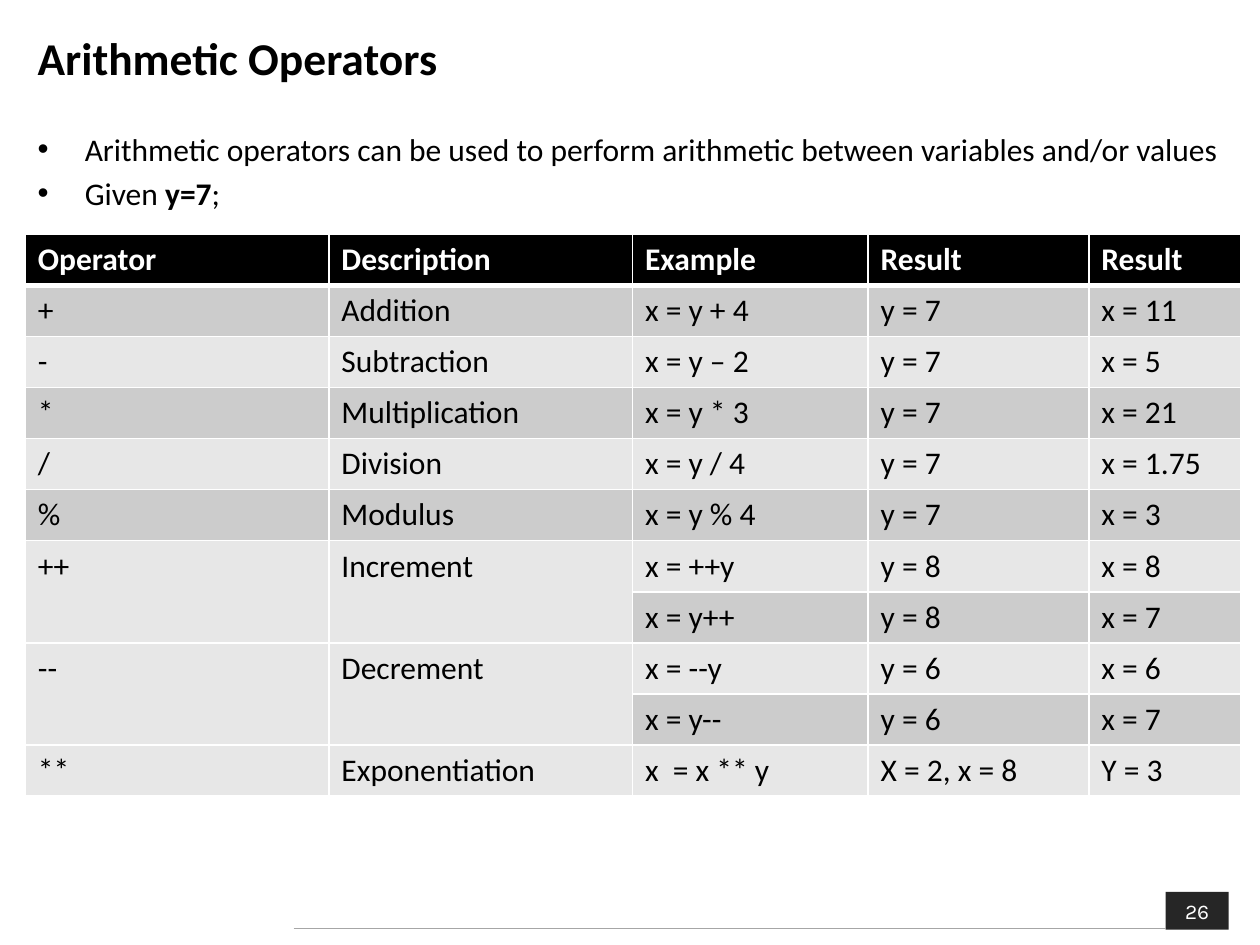
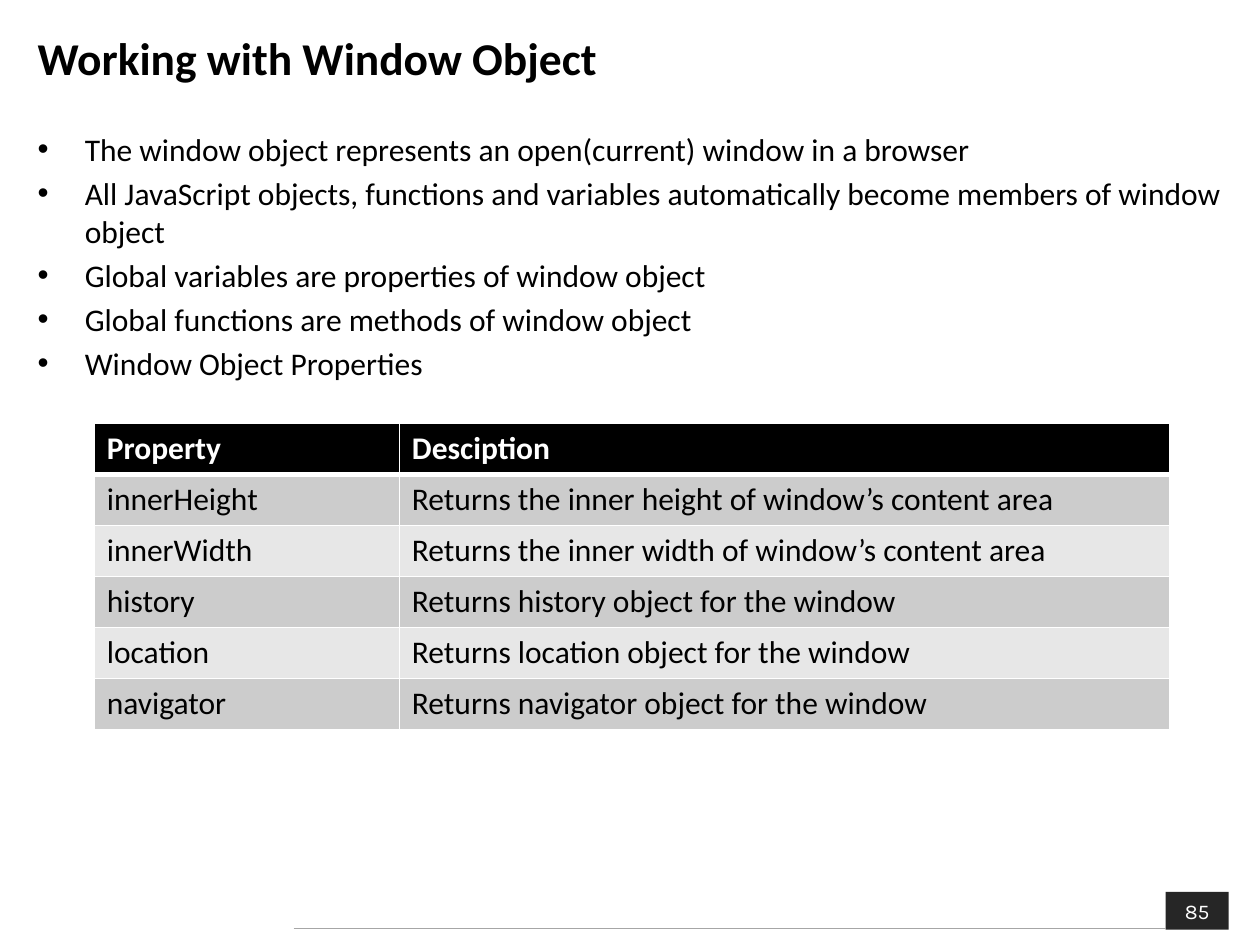
from pptx import Presentation
from pptx.dml.color import RGBColor
from pptx.enum.shapes import MSO_CONNECTOR, MSO_SHAPE
from pptx.enum.text import MSO_ANCHOR, PP_ALIGN
from pptx.oxml.ns import qn
from pptx.util import Cm, Pt
from lxml import etree

MIDDLE = MSO_ANCHOR.MIDDLE
CENTER = PP_ALIGN.CENTER
RECTANGLE = MSO_SHAPE.RECTANGLE
STRAIGHT = MSO_CONNECTOR.STRAIGHT

BLACK, WHITE = "000000", "FFFFFF"
NUMBER_FILL, RULE_GREY = "262626", "A6A6A6"
BANDS = ["E7E7E7", "CCCCCC"]

TITLE = {"name": "Calibri", "size": Pt(26), "bold": True}
BODY = {"name": "Calibri", "size": Pt(18), "bold": False}
STRONG = {**BODY, "bold": True}
NUMBER = {"name": "Karla", "size": Pt(12)}

ROW_HEIGHT = Cm(1.03)
BULLET_INDENT = Cm(0.95)

# Bars in a bullet enclose its bold words; None continues the cell above.
PAGES = [
    {
        "title": "Arithmetic Operators",
        "number": "26",
        "bullets": [
            "Arithmetic operators can be used to perform arithmetic between variables and/or values",
            "Given |y=7|;",
        ],
        "table_at": (Cm(0.51), Cm(4.72)),
        "widths": [6.12, 6.12, 4.75, 4.45, 3.07],
        "rows": [
            ["Operator", "Description", "Example", "Result", "Result"],
            ["+", "Addition", "x = y + 4", "y = 7", "x = 11"],
            ["-", "Subtraction", "x = y – 2", "y = 7", "x = 5"],
            ["*", "Multiplication", "x = y * 3", "y = 7", "x = 21"],
            ["/", "Division", "x = y / 4", "y = 7", "x = 1.75"],
            ["%", "Modulus", "x = y % 4", "y = 7", "x = 3"],
            ["++", "Increment", "x = ++y", "y = 8", "x = 8"],
            [None, None, "x = y++", "y = 8", "x = 7"],
            ["--", "Decrement", "x = --y", "y = 6", "x = 6"],
            [None, None, "x = y--", "y = 6", "x = 7"],
            ["**", "Exponentiation", "x  = x ** y", "X = 2, x = 8", "Y = 3"],
        ],
    },
    {
        "title": "Working with Window Object",
        "number": "85",
        "bullets": [
            "The window object represents an open(current) window in a browser",
            "All JavaScript objects, functions and variables automatically become members of window object",
            "Global variables are properties of window object",
            "Global functions are methods of window object",
            "Window Object Properties",
        ],
        "table_at": (Cm(1.9), Cm(8.53)),
        "widths": [6.15, 15.54],
        "rows": [
            ["Property", "Desciption"],
            ["innerHeight", "Returns the inner height of window’s content area"],
            ["innerWidth", "Returns the inner width of window’s content area"],
            ["history", "Returns history object for the window"],
            ["location", "Returns location object for the window"],
            ["navigator", "Returns navigator object for the window"],
        ],
    },
]


def paint(fill, colour):
    """Make a shape, cell, line or font fill solid."""
    fill.solid()
    fill.fore_color.rgb = RGBColor.from_string(colour)


def write(para, text, formats, colour=BLACK):
    """Add one formatted run to a paragraph."""
    span = para.add_run()
    span.text = text
    for name, value in formats.items():
        setattr(span.font, name, value)
    paint(span.font.fill, colour)


deck = Presentation()
deck.slide_width, deck.slide_height = Cm(25.4), Cm(19.05)

for page in PAGES:
    slide = deck.slides.add_slide(deck.slide_layouts[6])
    paint(slide.background.fill, WHITE)

    # Footer: page number and rule
    number_box = slide.shapes.add_shape(RECTANGLE, Cm(23.5), Cm(17.98), Cm(1.27), Cm(0.76))
    number_box.shadow.inherit = False
    number_box.line.fill.background()
    paint(number_box.fill, NUMBER_FILL)
    number_box.text_frame.vertical_anchor = MIDDLE
    para = number_box.text_frame.paragraphs[0]
    para.alignment = CENTER
    write(para, page["number"], NUMBER, WHITE)

    rule = slide.shapes.add_connector(STRAIGHT, Cm(5.92), Cm(18.72), Cm(23.5), Cm(18.72))
    rule.line.width = Pt(0.75)
    paint(rule.line.fill, RULE_GREY)
    etree.SubElement(rule._element.spPr, qn("a:effectLst"))

    # Title
    title_box = slide.shapes.add_textbox(Cm(0.51), Cm(0.38), Cm(24.51), Cm(1.55))
    title_box.text_frame.word_wrap = True
    title_box.text_frame.vertical_anchor = MIDDLE
    write(title_box.text_frame.paragraphs[0], page["title"], TITLE)

    # Bullets
    body_box = slide.shapes.add_textbox(Cm(0.51), Cm(2.49), Cm(24.51), Cm(14.63))
    frame = body_box.text_frame
    frame.word_wrap = True
    for index, bullet in enumerate(page["bullets"]):
        para = frame.add_paragraph() if index else frame.paragraphs[0]
        para.space_before = Pt(3.6)
        properties = para._p.get_or_add_pPr()
        properties.set("marL", str(BULLET_INDENT))
        properties.set("indent", str(-BULLET_INDENT))
        etree.SubElement(properties, qn("a:buFont"), typeface="Arial")
        etree.SubElement(properties, qn("a:buChar"), char="•")
        for part, text in enumerate(bullet.split("|")):
            write(para, text, STRONG if part % 2 else BODY)

    # Table
    rows, widths = page["rows"], page["widths"]
    table = slide.shapes.add_table(
        len(rows), len(widths), *page["table_at"], Cm(sum(widths)), ROW_HEIGHT * len(rows)
    ).table
    for column, width in zip(table.columns, widths):
        column.width = Cm(width)
    for r, row in enumerate(rows):
        table.rows[r].height = ROW_HEIGHT
        for c, text in enumerate(row):
            cell = table.cell(r, c)
            header = r == 0
            thick_side = {0: "lnB", 1: "lnT"}.get(r)
            properties = cell._tc.get_or_add_tcPr()
            for side in ("lnL", "lnR", "lnT", "lnB"):
                width = Pt(3 if side == thick_side else 1)
                border = etree.SubElement(properties, qn(f"a:{side}"), w=str(width))
                solid = etree.SubElement(border, qn("a:solidFill"))
                etree.SubElement(solid, qn("a:srgbClr"), val=WHITE)
            paint(cell.fill, BLACK if header else BANDS[r % 2])
            if text is None:
                table.cell(r - 1, c).merge(cell)
            else:
                write(cell.text_frame.paragraphs[0], text,
                      STRONG if header else BODY, WHITE if header else BLACK)

deck.save("out.pptx")
